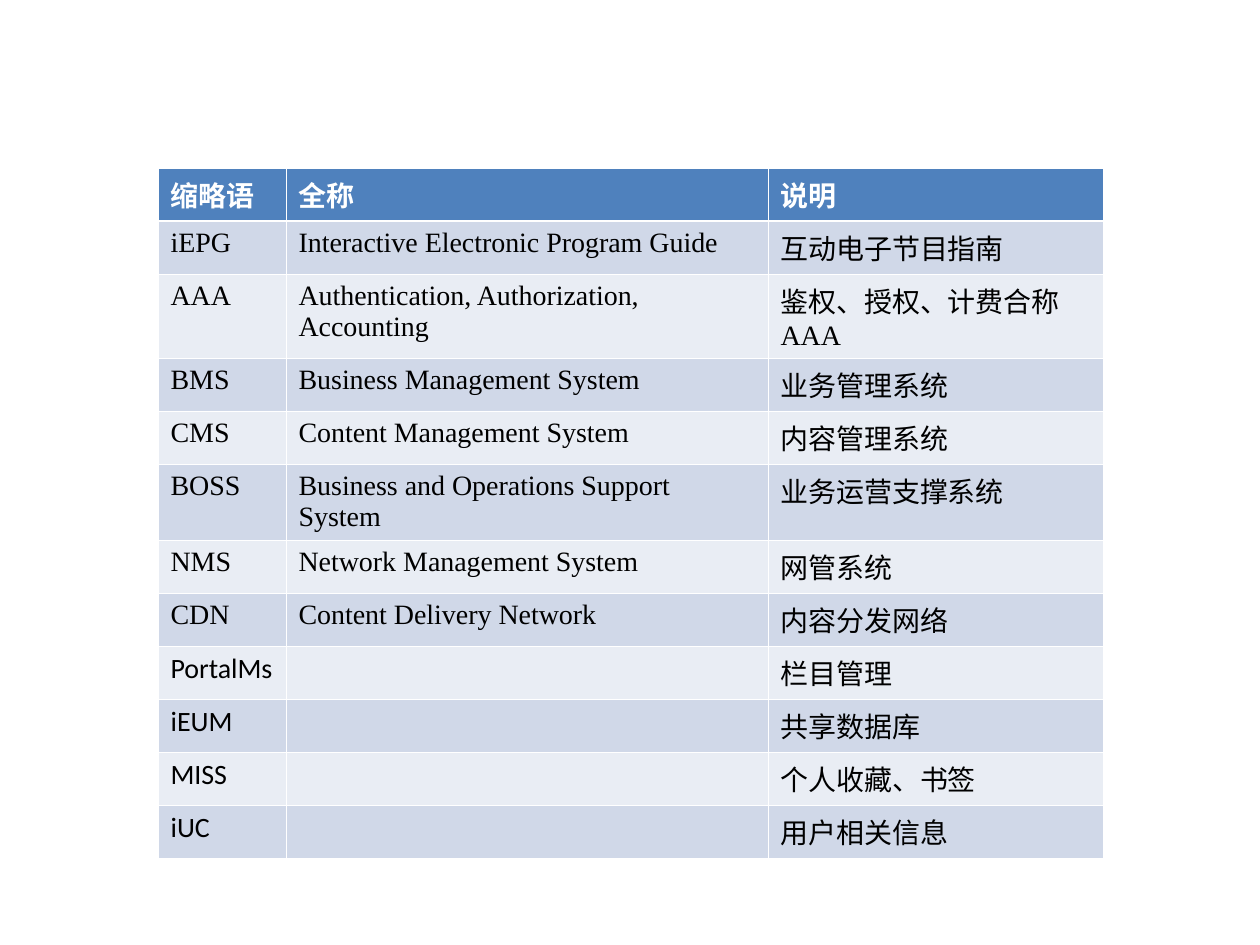
from dataclasses import dataclass

from lxml import etree
from pptx import Presentation
from pptx import util as u
from pptx.dml.color import RGBColor
from pptx.oxml.ns import qn

PX = u.Inches(1) / 126


@dataclass(frozen=True)
class Theme:
    """Colours, fonts, type size and line widths of the slide."""
    header: str = "4F81BD"
    bands: tuple = ("D0D8E8", "E9EDF4")
    ink: str = "000000"
    white: str = "FFFFFF"
    serif: str = "Times New Roman"
    sans: str = "Calibri"
    size: int = 16
    thin: float = 0.45
    thick: float = 1.47


THEME = Theme()
COLUMNS = (128, 482, 335)
ROW = 53
TALL_ROWS = {2: 84, 5: 76}
GLOSSARY = [
    ("缩略语", "全称", "说明"),
    ("iEPG", "Interactive Electronic Program Guide", "互动电子节目指南"),
    ("AAA", "Authentication, Authorization, Accounting", "鉴权、授权、计费合称AAA"),
    ("BMS", "Business Management System", "业务管理系统"),
    ("CMS", "Content Management System", "内容管理系统"),
    ("BOSS", "Business and Operations Support System", "业务运营支撑系统"),
    ("NMS", "Network Management System", "网管系统"),
    ("CDN", "Content Delivery Network", "内容分发网络"),
    ("PortalMs", "", "栏目管理"),
    ("iEUM", "", "共享数据库"),
    ("MISS", "", "个人收藏、书签"),
    ("iUC", "", "用户相关信息"),
]


def px(n):
    """Turn whole pixels into EMU."""
    return u.Emu(round(n * PX))


def set_borders(cell, **widths):
    """Draw white cell borders, with widths in points keyed by side."""
    tcPr = cell._tc.get_or_add_tcPr()
    for side in "LRTB":
        width = u.Pt(widths.get(side, THEME.thin))
        ln = etree.SubElement(tcPr, qn(f"a:ln{side}"), w=str(int(width)))
        fill = etree.SubElement(ln, qn("a:solidFill"))
        etree.SubElement(fill, qn("a:srgbClr"), val=THEME.white)


def format_cell(cell, value, fill, ink, font, bold):
    """Set the text and fill of one cell."""
    cell.fill.solid()
    cell.fill.fore_color.rgb = RGBColor.from_string(fill)
    tf = cell.text_frame
    tf.text = value
    for r in tf.paragraphs[0].runs:
        r.font.size = u.Pt(THEME.size)
        r.font.name = font
        r.font.bold = bold
        r.font.color.rgb = RGBColor.from_string(ink)


def add_glossary(s, left, top):
    """Place the table of abbreviations with its top left corner at the given point."""
    heights = [TALL_ROWS.get(i, ROW) for i in range(len(GLOSSARY))]
    table = s.shapes.add_table(len(heights), len(COLUMNS), px(left), px(top),
                               px(sum(COLUMNS)), px(sum(heights))).table
    for column, width in zip(table.columns, COLUMNS):
        column.width = px(width)
    for i, (row, height, entry) in enumerate(zip(table.rows, heights, GLOSSARY)):
        row.height = px(height)
        header = i == 0
        fill = THEME.header if header else THEME.bands[(i - 1) % 2]
        ink = THEME.white if header else THEME.ink
        edges = {0: {"B": THEME.thick}, 1: {"T": THEME.thick}}.get(i, {})
        for j, (cell, value) in enumerate(zip(row.cells, entry)):
            unexpanded = j == 0 and not entry[1]
            font = THEME.sans if unexpanded else THEME.serif
            set_borders(cell, **edges)
            format_cell(cell, value, fill, ink, font, header)


def main():
    """Build and save the slide."""
    prs = Presentation()
    prs.slide_width, prs.slide_height = px(1260), px(945)
    s = prs.slides.add_slide(prs.slide_layouts[6])
    add_glossary(s, 158, 168)
    prs.save("out.pptx")


if __name__ == "__main__":
    main()
